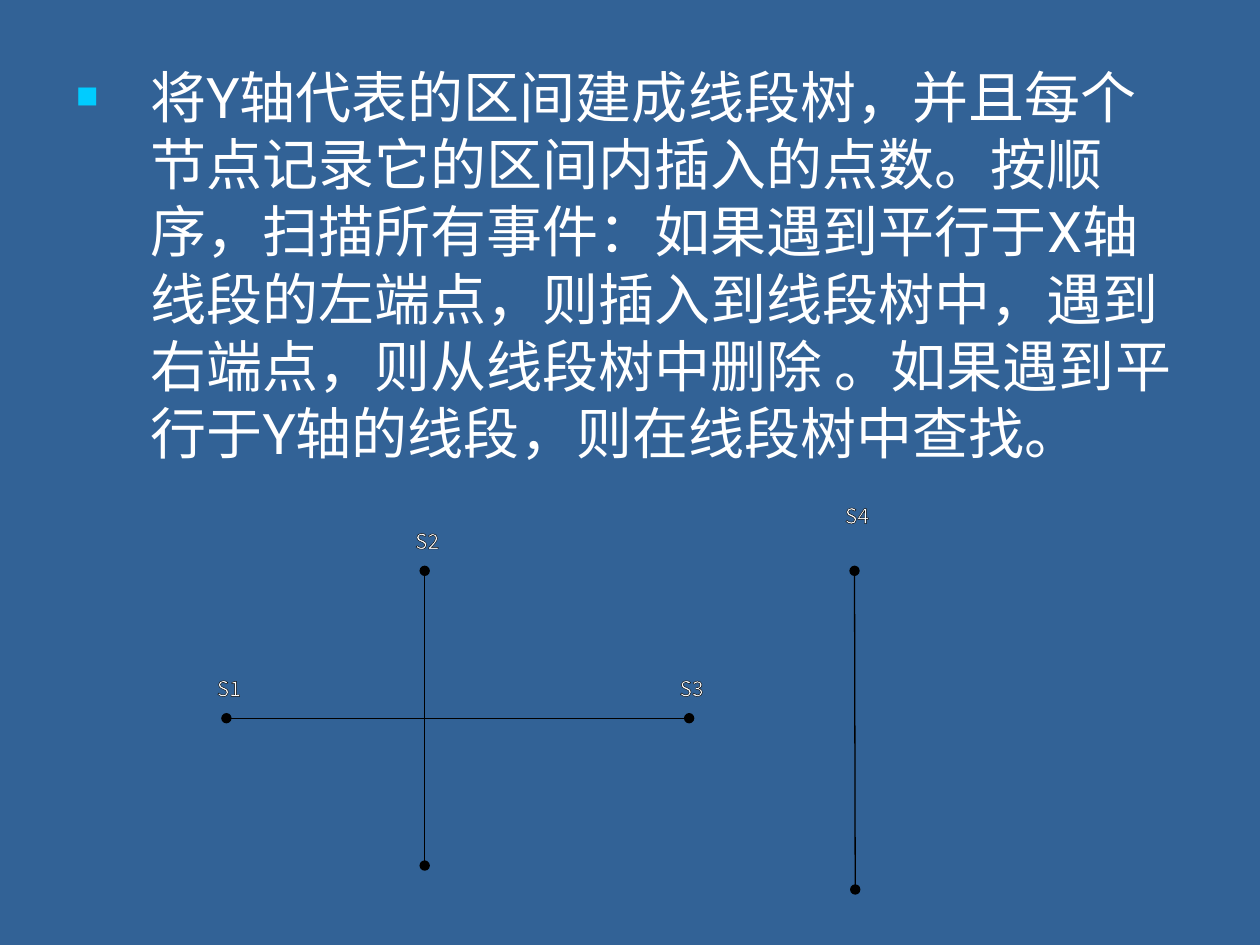
from dataclasses import dataclass

import lxml.etree
import pptx
import pptx.dml.color
import pptx.enum.shapes
import pptx.enum.text
import pptx.oxml.ns
import pptx.util

Pt = pptx.util.Pt
qn = pptx.oxml.ns.qn


@dataclass(frozen=True)
class Theme:
    background: str = "326296"
    text: str = "FFFFFF"
    bullet: str = "00CCFF"
    line: str = "000000"
    body_size: float = 32
    label_size: float = 12
    line_width: float = 0.75
    latin_font: str = "Roboto"
    cjk_font: str = "Noto Sans CJK SC"


THEME = Theme()

BODY = (
    "将Y轴代表的区间建成线段树，并且每个节点记录它的区间内插入的点数。"
    "按顺序，扫描所有事件：如果遇到平行于X轴线段的左端点，则插入到线段树中，"
    "遇到右端点，则从线段树中删除 。如果遇到平行于Y轴的线段，则在线段树中查找。"
)

# Start and end of each segment: x1, y1, x2, y2
HORIZONTAL = (129.4, 410.4, 393.8, 410.4)
CROSSING = (242.7, 326.2, 242.7, 494.6)
SEPARATE = (488.3, 326.2, 488.7, 508.3)

# Label, the point it names, and its rise above that point
LABELS = [
    ("S1", HORIZONTAL[:2], 28),
    ("S2", CROSSING[:2], 28),
    ("S3", HORIZONTAL[2:], 28),
    ("S4", SEPARATE[:2], 42.5),
]


def color(value):
    return pptx.dml.color.RGBColor.from_string(value)


def add_child(parent, tag, **attributes):
    return lxml.etree.SubElement(parent, qn(tag), attributes)


def style_run(run, size, latin_font):
    run.font.size = Pt(size)
    run.font.name = latin_font
    run.font.color.rgb = color(THEME.text)
    add_child(run.font._element, "a:ea", typeface=THEME.cjk_font)


def add_bullet(paragraph, indent):
    properties = paragraph._p.get_or_add_pPr()
    properties.set("marL", str(Pt(indent)))
    properties.set("indent", str(-Pt(indent)))
    properties.set("hangingPunct", "0")
    bullet_color = add_child(properties, "a:buClr")
    add_child(bullet_color, "a:srgbClr", val=THEME.bullet)
    add_child(properties, "a:buSzPct", val="40000")
    add_child(properties, "a:buFont", typeface=THEME.cjk_font)
    add_child(properties, "a:buChar", char="■")


def add_body(slide):
    shape = slide.shapes.add_textbox(Pt(36.7), Pt(32.2), Pt(648), Pt(255))
    shape.text_frame.word_wrap = True
    shape.text_frame.text = BODY
    paragraph = shape.text_frame.paragraphs[0]
    add_bullet(paragraph, 42)
    style_run(paragraph.runs[0], THEME.body_size, THEME.latin_font)


def add_segment(group, ends):
    """Draw a line with a dot at both ends."""
    connector = group.shapes.add_connector(
        pptx.enum.shapes.MSO_CONNECTOR.STRAIGHT, *map(Pt, ends)
    )
    connector.line.width = Pt(THEME.line_width)
    connector.line.color.rgb = color(THEME.line)
    outline = connector.line._get_or_add_ln()
    add_child(outline, "a:headEnd", type="oval")
    add_child(outline, "a:tailEnd", type="oval")
    add_child(connector._element.spPr, "a:effectLst")


def outline_run(run):
    outline = lxml.etree.Element(qn("a:ln"), w=str(Pt(THEME.line_width)))
    fill = add_child(outline, "a:solidFill")
    add_child(fill, "a:srgbClr", val=THEME.line)
    run.font._element.insert(0, outline)


def add_label(group, text, point, rise):
    x, y = point
    shape = group.shapes.add_textbox(Pt(x - 9.4), Pt(y - rise), Pt(21.6), Pt(21.6))
    frame = shape.text_frame
    frame.word_wrap = False
    frame.margin_left = frame.margin_right = 0
    frame.text = text
    paragraph = frame.paragraphs[0]
    paragraph.alignment = pptx.enum.text.PP_ALIGN.CENTER
    style_run(paragraph.runs[0], THEME.label_size, THEME.cjk_font)
    outline_run(paragraph.runs[0])


def main():
    presentation = pptx.Presentation()
    presentation.slide_width = Pt(720)
    presentation.slide_height = Pt(540)
    slide = presentation.slides.add_slide(presentation.slide_layouts[6])
    slide.background.fill.solid()
    slide.background.fill.fore_color.rgb = color(THEME.background)

    add_body(slide)
    diagram = slide.shapes.add_group_shape()
    for ends in (HORIZONTAL, CROSSING, SEPARATE):
        add_segment(diagram, ends)
    for text, point, rise in LABELS:
        add_label(diagram, text, point, rise)

    presentation.save("out.pptx")


if __name__ == "__main__":
    main()
